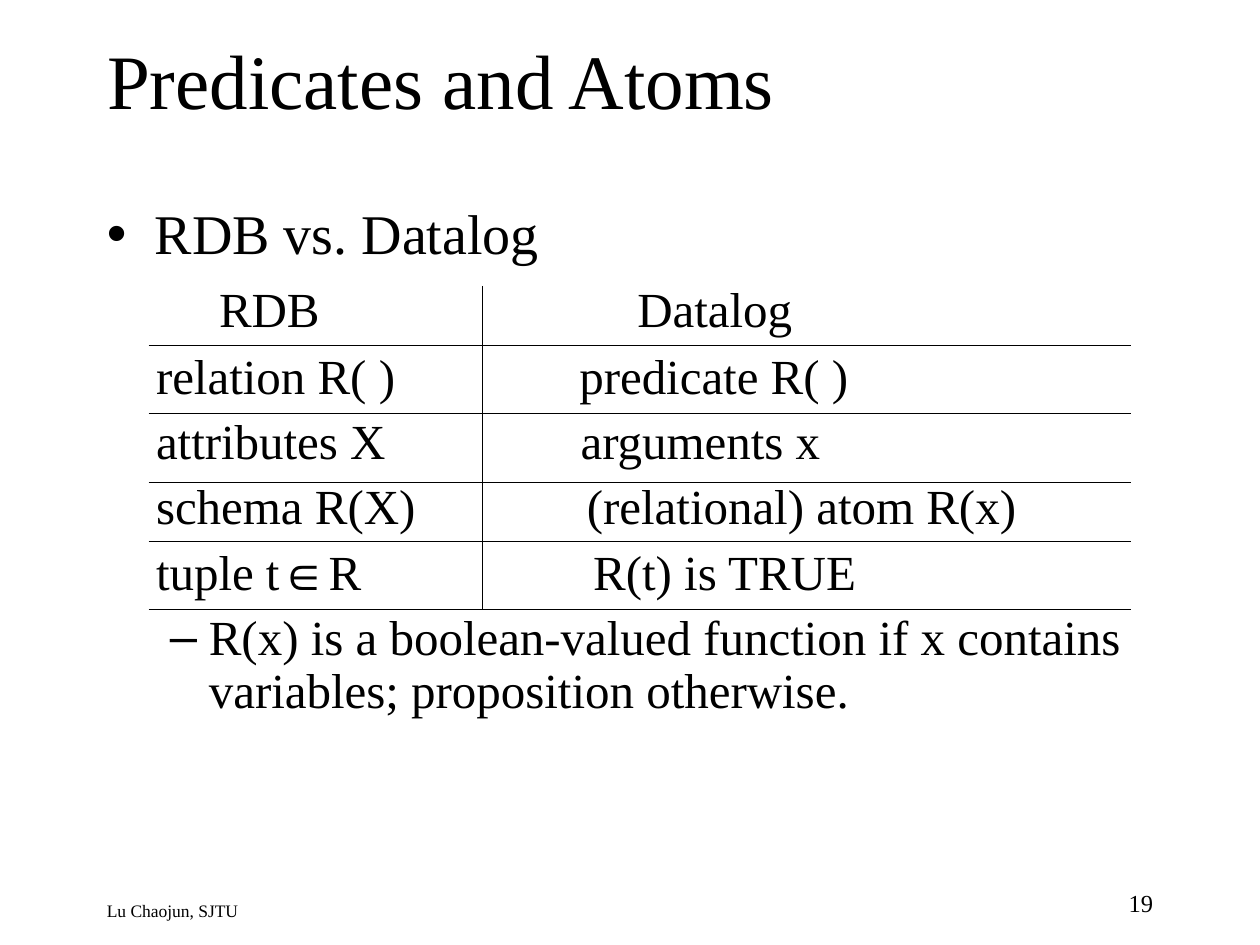
import pptx
import pptx.util
import pptx.dml.color
import pptx.enum.text
import pptx.enum.shapes
import lxml.etree
from dataclasses import dataclass
from pptx.util import Inches, Pt


@dataclass(frozen=True)
class Theme:
    ink: str = "000000"
    face: str = "Times New Roman"
    sign: str = "Arial"
    title: int = 44
    lead: int = 32
    body: int = 28
    page: int = 14
    foot: int = 10
    rule: float = 0.74


theme = Theme()
INK = pptx.dml.color.RGBColor.from_string(theme.ink)
ALIGN = pptx.enum.text.PP_ALIGN
ANCHOR = pptx.enum.text.MSO_ANCHOR

heading = "Predicates and Atoms"
lead = "RDB vs. Datalog"
rows = [
    ("RDB", "Datalog", 0.89, 4.21, theme.lead),
    ("relation R( )", "predicate R( )", 0.39, 3.75, theme.body),
    ("attributes X", "arguments x", 0.39, 3.76, theme.body),
    ("schema R(X)", "(relational) atom R(x)", 0.39, 3.81, theme.body),
    ("tuple t∈R", "R(t) is TRUE", 0.39, 3.86, theme.body),
]
note = "R(x) is a boolean-valued function if x contains variables; proposition otherwise."
credit, page = "Lu Chaojun, SJTU", "19"

left, right, split = 1.18, 8.98, 3.83
top, levels = 2.27, (2.74, 3.28, 3.83, 4.3, 4.84)


def write(frame, text, size, align=ALIGN.LEFT, first=False, margin=0, indent=0,
          bullet=None, stops=(), gap=None, before=0, lines=1.0):
    para = frame.paragraphs[0] if first else frame.add_paragraph()
    para.alignment = align
    para.line_spacing, para.space_before = lines, Pt(before)
    props = para._p.get_or_add_pPr()
    tag = pptx.oxml.ns.qn
    if bullet:
        props.set("marL", str(Inches(margin)))
        props.set("indent", str(Inches(indent)))
        lxml.etree.SubElement(props, tag("a:buFont"), typeface=theme.sign)
        lxml.etree.SubElement(props, tag("a:buChar"), char=bullet)
    else:
        lxml.etree.SubElement(props, tag("a:buNone"))
    if stops:
        tabs = lxml.etree.SubElement(props, tag("a:tabLst"))
        for stop in stops:
            lxml.etree.SubElement(tabs, tag("a:tab"), pos=str(Inches(stop)), algn="l")
    head, sign, tail = text.partition("∈")
    parts = [("\t" if gap else "", theme.face, gap), (head, theme.face, size),
             (sign, theme.sign, size), (tail, theme.face, size)]
    for part, face, points in parts:
        if part:
            run = para.add_run()
            run.text = part
            run.font.name, run.font.size = face, Pt(points)
            run.font.color.rgb = INK


def place(shape, area):
    shape.left, shape.top, shape.width, shape.height = map(Inches, area)
    frame = shape.text_frame
    frame.word_wrap = True
    frame.auto_size = pptx.enum.text.MSO_AUTO_SIZE.NONE
    return frame


def box(area):
    return place(slide.shapes.add_textbox(0, 0, 0, 0), area)


def rule(*ends):
    line = slide.shapes.add_connector(
        pptx.enum.shapes.MSO_CONNECTOR.STRAIGHT, *map(Inches, ends))
    line.line.color.rgb, line.line.width = INK, Pt(theme.rule)
    lxml.etree.SubElement(line._element.spPr, pptx.oxml.ns.qn("a:effectLst"))


deck = pptx.Presentation()
deck.slide_width, deck.slide_height = Inches(10), Inches(7.5)
slide = deck.slides.add_slide(deck.slide_layouts[5])

frame = place(slide.shapes.title, (0.75, 0, 8.5, 1.25))
frame.vertical_anchor = ANCHOR.MIDDLE
write(frame, heading, theme.title, first=True)

body = box((0.75, 1.59, 8.5, 5.08))
write(body, lead, theme.lead, first=True, margin=0.38, indent=-0.38,
      bullet="•", before=8, lines=0.9)
for name, match, start, stop, gap in rows:
    write(body, name + "\t" + match, theme.body, stops=(start, stop), gap=gap,
          before=7, lines=0.9)
write(body, note, theme.body, margin=0.81, indent=-0.31, bullet="–",
      before=7, lines=0.9)

write(box((7.17, 7, 2.08, 0.33)), page, theme.page, first=True, align=ALIGN.RIGHT)
write(box((0.75, 7.09, 5.8, 0.25)), credit, theme.foot, first=True)

for level in levels:
    rule(left, level, right, level)
rule(split, top, split, levels[-1])

deck.save("out.pptx")
